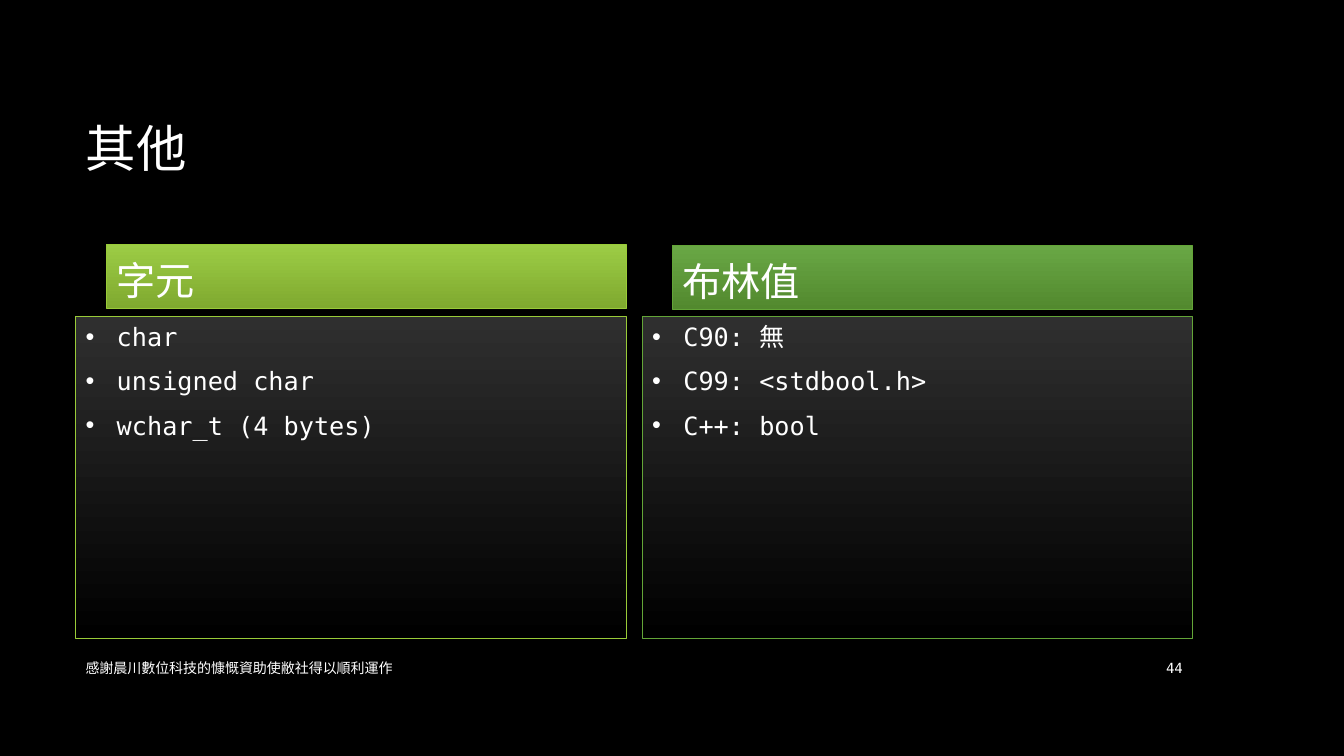
from lxml import etree
from pptx import Presentation
from pptx.dml.color import RGBColor
from pptx.enum.shapes import MSO_SHAPE
from pptx.enum.text import MSO_ANCHOR, PP_ALIGN
from pptx.oxml.ns import qn
from pptx.util import Inches, Pt

RECTANGLE = MSO_SHAPE.RECTANGLE
TOP, MIDDLE, BOTTOM = MSO_ANCHOR.TOP, MSO_ANCHOR.MIDDLE, MSO_ANCHOR.BOTTOM
LEFT, RIGHT = PP_ALIGN.LEFT, PP_ALIGN.RIGHT
TITLE_ONLY = 5
MONO, SANS = "DejaVu Sans Mono", "Roboto"
COLORS = {
    "background": "000000",
    "text": "FFFFFF",
    "body_top": "2F2F2F",
    "body_bottom": "000000",
    "lime_line": "99CB38",
    "lime_top": "9CCC45",
    "lime_bottom": "7FA92F",
    "green_line": "63A537",
    "green_top": "69A745",
    "green_bottom": "52892E",
}
MARGIN = 0.75
PANEL_WIDTH = 5.46
PANEL_STEP = 5.62
FOOTER_TOP, FOOTER_HEIGHT = 6.42, 0.41
PANELS = [
    ("lime", "字元", 2.43, 0.31, ["char", "unsigned char", "wchar_t (4 bytes)"]),
    ("green", "布林值", 2.44, 0.3, ["C90: 無", "C99: <stdbool.h>", "C++: bool"]),
]


def color(name):
    """Return the named palette colour."""
    return RGBColor.from_string(COLORS[name])


def add_bullet(paragraph):
    """Give a paragraph a hanging white bullet."""
    properties = paragraph._p.get_or_add_pPr()
    properties.set("marL", str(Inches(0.31)))
    properties.set("indent", str(-Inches(0.31)))
    bullet_color = etree.SubElement(properties, qn("a:buClr"))
    etree.SubElement(bullet_color, qn("a:srgbClr"), val=COLORS["text"])
    etree.SubElement(properties, qn("a:buFont"), typeface="Arial")
    etree.SubElement(properties, qn("a:buChar"), char="•")


def write(shape, lines, size, font=MONO, anchor=MIDDLE, align=LEFT, after=0, bullets=False):
    """Write formatted paragraphs into a shape."""
    frame = shape.text_frame
    frame.word_wrap = True
    frame.vertical_anchor = anchor
    frame.text = "\n".join(lines)
    for paragraph in frame.paragraphs:
        paragraph.alignment = align
        paragraph.space_after = Pt(after)
        if bullets:
            add_bullet(paragraph)
        for run in paragraph.runs:
            run.font.name = font
            run.font.size = Pt(size)
            run.font.color.rgb = color("text")


def add_title(slide, text):
    """Place and fill the slide title."""
    title = slide.shapes.title
    title.left, title.top = Inches(MARGIN), Inches(0.67)
    title.width, title.height = Inches(11.08), Inches(1.59)
    write(title, [text], 36, font=SANS)


def add_gradient_box(slide, left, top, width, height, gradient, line):
    """Add an outlined rectangle that shades from top to bottom."""
    box = slide.shapes.add_shape(
        RECTANGLE, Inches(left), Inches(top), Inches(width), Inches(height))
    box.shadow.inherit = False
    box.fill.gradient()
    box.fill.gradient_angle = 270
    for stop, position, name in zip(box.fill.gradient_stops, (0, 1), gradient):
        stop.position = position
        stop.color.rgb = color(name)
    box.line.color.rgb = color(line)
    box.line.width = Pt(0.75)
    return box


def add_panel(slide, left, hue, heading, heading_top, inset, items):
    """Add a heading bar above a bulleted panel."""
    line = f"{hue}_line"
    bar = add_gradient_box(
        slide, left + inset, heading_top, PANEL_WIDTH - inset, 0.63,
        (f"{hue}_top", f"{hue}_bottom"), line)
    write(bar, [heading], 28, anchor=BOTTOM, after=10)
    body = add_gradient_box(
        slide, left, 3.14, PANEL_WIDTH, 3.19, ("body_top", "body_bottom"), line)
    write(body, items, 18, anchor=TOP, after=10, bullets=True)


def add_footer(slide, text, left, width, align=LEFT):
    """Add small text on the footer line."""
    footer = slide.shapes.add_textbox(
        Inches(left), Inches(FOOTER_TOP), Inches(width), Inches(FOOTER_HEIGHT))
    write(footer, [text], 10, align=align)


def main():
    """Build and save the slide."""
    deck = Presentation()
    deck.slide_width, deck.slide_height = Inches(13.33), Inches(7.5)
    slide = deck.slides.add_slide(deck.slide_layouts[TITLE_ONLY])
    slide.background.fill.solid()
    slide.background.fill.fore_color.rgb = color("background")
    add_title(slide, "其他")
    for column, panel in enumerate(PANELS):
        add_panel(slide, MARGIN + column * PANEL_STEP, *panel)
    add_footer(slide, "感謝晨川數位科技的慷慨資助使敝社得以順利運作", MARGIN, 8.56)
    add_footer(slide, "44", 11.23, 0.6, align=RIGHT)
    deck.save("out.pptx")


if __name__ == "__main__":
    main()
